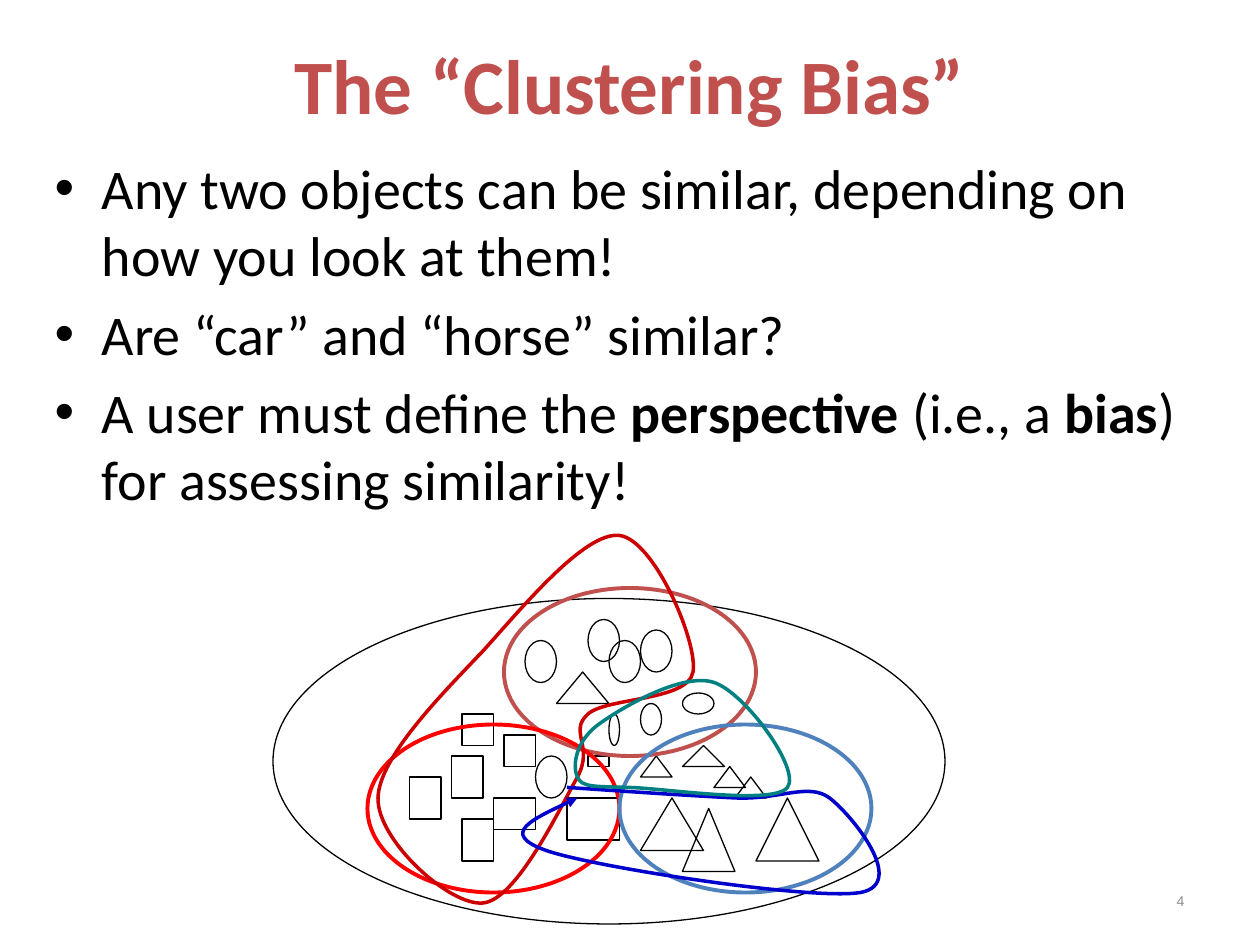
from dataclasses import dataclass

from lxml import etree
from pptx import Presentation
from pptx import util as u
from pptx.dml.color import RGBColor
from pptx.enum import shapes, text
from pptx.oxml import ns


@dataclass(frozen=True)
class Theme:
    ink: str = "000000"
    accent: str = "C0504D"
    muted: str = "8C8C8C"
    red: str = "FF0000"
    sky: str = "4F81BD"
    crimson: str = "CC0000"
    navy: str = "0000CC"
    teal: str = "008080"
    font: str = "Calibri"
    number_font: str = "Arial"
    title_size: float = 44
    body_size: float = 32
    number_size: float = 8
    thin: float = 0.75
    curve: float = 2
    thick: float = 2.25


THEME = Theme()
CELL_CM = 2.54 / 12

BULLETS = [
    [("Any two objects can be similar, depending on how you look at them!", False)],
    [("Are “car” and “horse” similar?", False)],
    [("A user must define the ", False), ("perspective", True), (" (i.e., a ", False),
     ("bias", True), (") for assessing similarity!", False)],
]

UNIVERSE = (26, 57, 64, 31)
OBJECTS = {
    shapes.MSO_SHAPE.RECTANGLE: [
        (39, 74, 3, 4), (43, 72, 3, 4), (44, 78, 3, 4), (44, 68, 3, 3),
        (48, 70, 3, 3), (47, 76, 4, 3), (54, 76, 5, 4), (56, 72, 2, 1)],
    shapes.MSO_SHAPE.OVAL: [
        (50, 61, 3, 4), (51, 72, 3, 4), (61, 67, 2, 3), (58, 68, 1, 3),
        (56, 59, 3, 4), (58, 61, 3, 4), (61, 60, 3, 4), (65, 66, 3, 2)],
    shapes.MSO_SHAPE.ISOSCELES_TRIANGLE: [
        (61, 72, 3, 2), (61, 76, 6, 5), (65, 77, 5, 6), (65, 71, 4, 2),
        (53, 64, 5, 3), (68, 73, 3, 2), (70, 74, 3, 2), (72, 76, 6, 6)],
}
SHAPE_CLUSTERS = [
    ((48, 56, 24, 16), THEME.accent),
    ((35, 69, 24, 16), THEME.red),
    ((59, 69, 24, 16), THEME.sky),
]
CRIMSON_CLUSTER = [
    (46, 62), (49.8, 57.8), (55.7, 50.6), (59, 51), (62.3, 51.4), (66.5, 61.2), (66, 64),
    (65.5, 66.8), (57.8, 66.4), (56, 68), (54.1, 69.7), (56.6, 71), (55, 74),
    (53.3, 77), (49.2, 85.7), (46, 86), (42.8, 86.3), (35.9, 80), (36, 76),
    (36.1, 72.1), (42.1, 66.1), (46, 62)]
NAVY_CLUSTER = [
    (54, 75), (59.9, 75.4), (65.9, 75.8), (70, 76), (74.2, 76.2), (77, 74.5), (79, 76),
    (81, 77.5), (86.5, 84.1), (82, 85), (77.5, 85.8), (56.5, 82.6), (52, 81),
    (47.5, 79.4), (51.2, 77.8), (55, 76)]
TEAL_CLUSTER = [
    (57, 69), (59.2, 67.4), (65, 64), (68, 65), (71, 66), (76.3, 73.3), (75, 75),
    (73.7, 76.7), (63.4, 75.1), (60, 75), (56.6, 74.9), (55.4, 75), (55, 74),
    (54.5, 73), (54.8, 70.6), (57, 69)]


def cells(*counts):
    return [u.Cm(count * CELL_CM) for count in counts]


def place(box, left, top, width, height):
    box.left, box.top = u.Cm(left), u.Cm(top)
    box.width, box.height = u.Cm(width), u.Cm(height)


def add_bullet(paragraph):
    properties = paragraph._p.get_or_add_pPr()
    properties.set("marL", str(u.Cm(0.95)))
    properties.set("indent", str(-u.Cm(0.95)))
    etree.SubElement(properties, ns.qn("a:buFont")).set("typeface", "Arial")
    etree.SubElement(properties, ns.qn("a:buChar")).set("char", "•")


def write(box, paragraphs, *, size, color, font=THEME.font, align=text.PP_ALIGN.LEFT,
          anchor=text.MSO_ANCHOR.TOP, bulleted=False, gap=0):
    frame = box.text_frame
    frame.word_wrap = True
    frame.auto_size = text.MSO_AUTO_SIZE.NONE
    frame.vertical_anchor = anchor
    for index, runs in enumerate(paragraphs):
        paragraph = frame.add_paragraph() if index else frame.paragraphs[0]
        paragraph.alignment = align
        if index:
            paragraph.space_before = u.Pt(gap)
        if bulleted:
            add_bullet(paragraph)
        for wording, bold in runs:
            run = paragraph.add_run()
            run.text = wording
            run.font.name, run.font.size, run.font.bold = font, u.Pt(size), bold
            run.font.color.rgb = RGBColor.from_string(color)


def style_outline(shape, color, width):
    shape.shadow.inherit = False
    shape.fill.background()
    shape.line.color.rgb = RGBColor.from_string(color)
    shape.line.width = u.Pt(width)


def add_outline(parent, kind, box, color=THEME.ink, width=THEME.thin):
    style_outline(parent.add_shape(kind, *cells(*box)), color, width)


def add_curve(parent, points, color, arrow=False):
    start, *rest = [cells(*point) for point in points]
    builder = parent.build_freeform(*start)
    builder.add_line_segments(rest, close=points[0] == points[-1])
    shape = builder.convert_to_shape()
    segments = shape._element.findall(".//" + ns.qn("a:lnTo"))
    for first in range(0, len(segments), 3):
        curve, *controls = segments[first:first + 3]
        bezier = etree.Element(ns.qn("a:cubicBezTo"))
        curve.addprevious(bezier)
        for segment in (curve, *controls):
            bezier.append(segment[0])
            segment.getparent().remove(segment)
    style_outline(shape, color, THEME.curve)
    if arrow:
        line = shape.line._get_or_add_ln()
        etree.SubElement(line, ns.qn("a:tailEnd")).set("type", "triangle")


def add_text(slide):
    title = slide.shapes.title
    place(title, 0, 0.2, 25.4, 2.97)
    write(title, [[("The “Clustering Bias”", True)]], size=THEME.title_size,
          color=THEME.accent, align=text.PP_ALIGN.CENTER, anchor=text.MSO_ANCHOR.MIDDLE)

    body = slide.shapes.add_textbox(0, 0, 0, 0)
    place(body, 0.85, 2.97, 23.7, 11.43)
    write(body, BULLETS, size=THEME.body_size, color=THEME.ink, bulleted=True, gap=6.4)

    number = slide.shapes.add_textbox(0, 0, 0, 0)
    place(number, 18.2, 17.65, 5.93, 1.02)
    write(number, [[("4", False)]], size=THEME.number_size, color=THEME.muted,
          font=THEME.number_font, align=text.PP_ALIGN.RIGHT, anchor=text.MSO_ANCHOR.MIDDLE)


def add_diagram(slide):
    oval = shapes.MSO_SHAPE.OVAL
    add_outline(slide.shapes, oval, UNIVERSE)
    for kind, boxes in OBJECTS.items():
        for box in boxes:
            add_outline(slide.shapes, kind, box)

    by_shape = slide.shapes.add_group_shape().shapes
    for box, color in SHAPE_CLUSTERS:
        add_outline(by_shape, oval, box, color, THEME.thick)

    by_size = slide.shapes.add_group_shape().shapes
    add_curve(by_size, CRIMSON_CLUSTER, THEME.crimson)
    add_curve(by_size, NAVY_CLUSTER, THEME.navy, arrow=True)
    add_curve(by_size, TEAL_CLUSTER, THEME.teal)


def main():
    deck = Presentation()
    deck.slide_width, deck.slide_height = u.Cm(25.4), u.Cm(19.05)
    slide = deck.slides.add_slide(deck.slide_layouts.get_by_name("Title Only"))
    add_text(slide)
    add_diagram(slide)
    deck.save("out.pptx")


if __name__ == "__main__":
    main()
